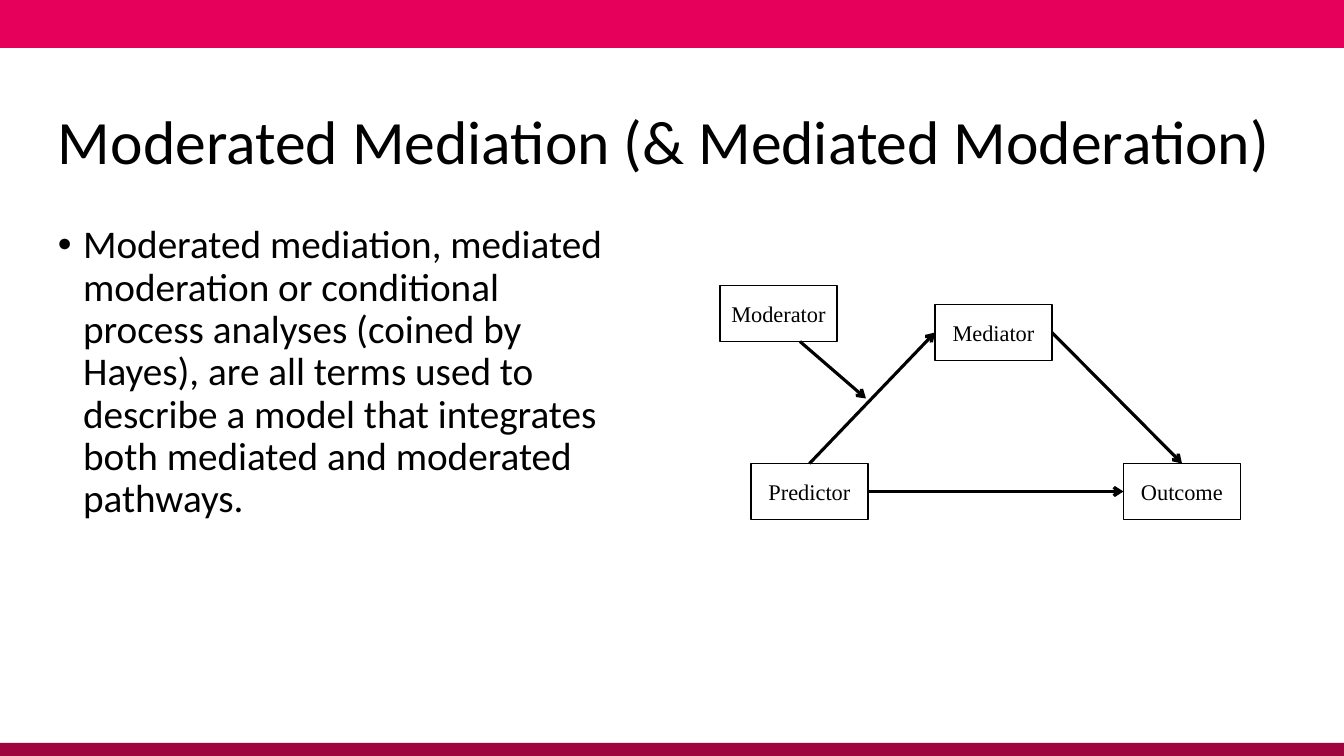
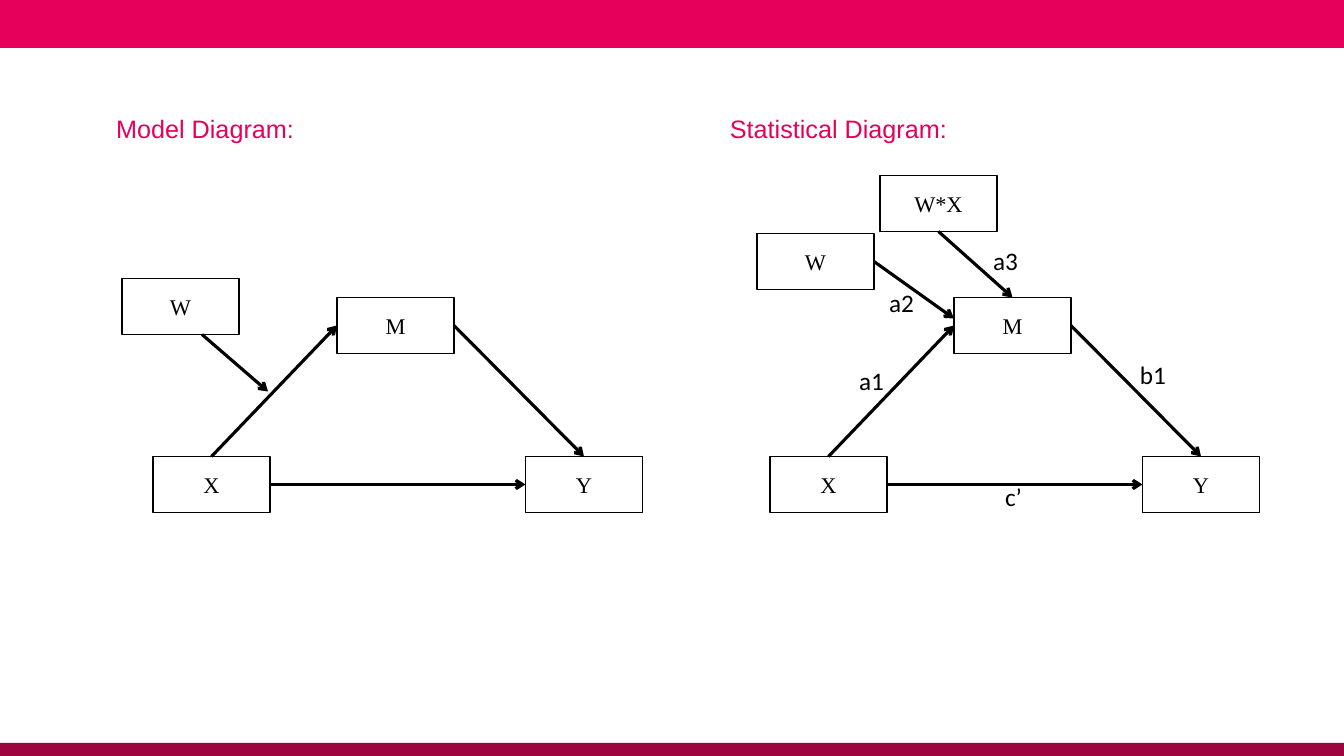
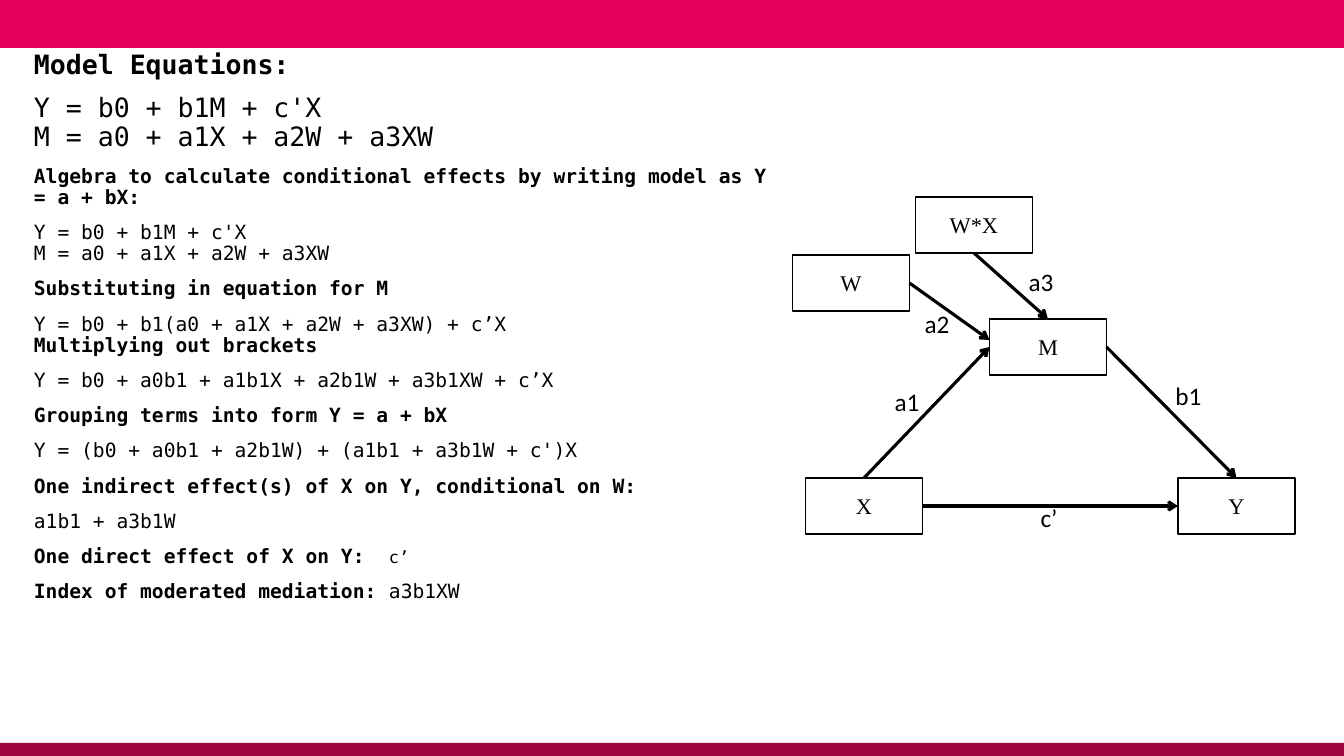
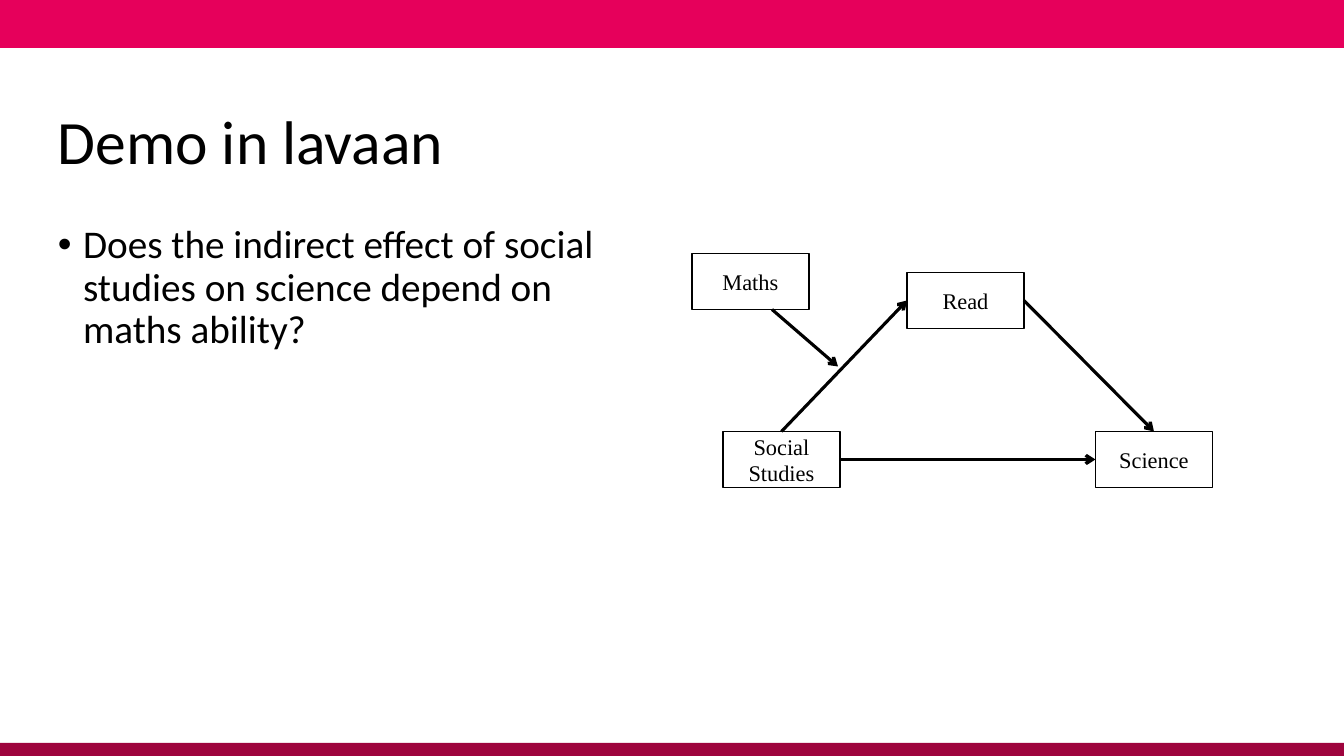
"""Builds four slides on moderated mediation with path diagrams."""
from pptx import Presentation, util as u
from pptx.dml.color import RGBColor
from pptx.enum import shapes, text
from pptx.oxml.ns import qn
from lxml import etree

PX = 914400 / 100.8
WIDTH, HEIGHT = 1344, 756
PINK = RGBColor(0xE6, 0x00, 0x5B)
DARK_PINK = RGBColor(0x9E, 0x04, 0x3D)
BLACK = RGBColor(0, 0, 0)
SANS, SERIF, MONO, LABEL = "Calibri", "Times New Roman", "DejaVu Sans Mono", "Arial"
BOX_W, BOX_H = 117, 56
TOP, LEFT, BOTTOM, RIGHT = range(4)
MIDDLE = text.MSO_ANCHOR.MIDDLE
PATH_LABELS = [("b1", 396, -67), ("c’", 252, 55), ("a1", 114, -61),
               ("a2", 144, -139), ("a3", 248, -181)]
EQUATIONS = "Y = b0 + b1M + c'X\nM = a0 + a1X + a2W + a3XW"
DERIVATION = [
    [("Model Equations:", 19, True)],
    [(EQUATIONS, 19, False)],
    [("Algebra to calculate conditional effects by writing model as Y = a + bX:", 14, True)],
    [(EQUATIONS, 14, False)],
    [("Substituting in equation for M", 14, True)],
    [("Y = b0 + b1(a0 + a1X + a2W + a3XW) + c’X\n", 14, False),
     ("Multiplying out brackets", 14, True)],
    [("Y = b0 + a0b1 + a1b1X + a2b1W + a3b1XW + c’X", 14, False)],
    [("Grouping terms into form Y = a + bX", 14, True)],
    [("Y = (b0 + a0b1 + a2b1W) + (a1b1 + a3b1W + c')X", 14, False)],
    [("One indirect effect(s) of X on Y, conditional on W:", 14, True)],
    [("a1b1 + a3b1W", 14, False)],
    [("One direct effect of X on Y:  ", 14, True), ("c’", 12, False)],
    [("Index of moderated mediation: ", 14, True), ("a3b1XW", 14, False)],
]


def px(n):
    """Turns pixels into EMU."""
    return u.Emu(round(n * PX))


def write(p, words, size=18, font=SANS, color=BLACK, bold=False):
    """Adds formatted text to a paragraph, breaking lines at newlines."""
    for i, line in enumerate(words.split("\n")):
        if i:
            p.add_line_break()
        if line:
            r = p.add_run()
            r.text = line
            r.font.size = u.Pt(size)
            r.font.name = font
            r.font.color.rgb = color
            r.font.bold = bold


def frame(s, x, y, w, h, anchor=text.MSO_ANCHOR.TOP, inset=True):
    """Adds a wrapping text box and returns its text frame."""
    tf = s.shapes.add_textbox(px(x), px(y), px(w), px(h)).text_frame
    tf.word_wrap = True
    tf.vertical_anchor = anchor
    if not inset:
        tf.margin_left = tf.margin_right = tf.margin_top = tf.margin_bottom = 0
    return tf


def rect(s, x, y, w, h, fill=None):
    """Adds a filled band, or an outlined box when no fill is given."""
    sp = s.shapes.add_shape(shapes.MSO_SHAPE.RECTANGLE, px(x), px(y), px(w), px(h))
    sp.shadow.inherit = False
    if fill is None:
        sp.fill.background()
        sp.line.color.rgb = BLACK
        sp.line.width = u.Pt(1)
    else:
        sp.fill.solid()
        sp.fill.fore_color.rgb = fill
        sp.line.fill.background()
    return sp


def new_slide(prs):
    """Adds a blank slide with the top and bottom bands."""
    s = prs.slides.add_slide(prs.slide_layouts[6])
    rect(s, 0, 0, WIDTH, 48, PINK)
    rect(s, 0, 743, WIDTH, 13, DARK_PINK)
    return s


def title(s, words):
    """Adds the slide title."""
    p = frame(s, 48, 89, 1246, 111, MIDDLE).paragraphs[0]
    p.line_spacing = 0.9
    write(p, words, size=44)


def bullet(s, words, w):
    """Adds the bulleted body text."""
    p = frame(s, 48, 220, w, 409).paragraphs[0]
    p.line_spacing = 0.9
    p.space_before = u.Pt(10)
    pPr = p._p.get_or_add_pPr()
    pPr.set("marL", str(u.Inches(0.25)))
    pPr.set("indent", str(-u.Inches(0.25)))
    etree.SubElement(pPr, qn("a:buFont")).set("typeface", "Arial")
    etree.SubElement(pPr, qn("a:buChar")).set("char", "•")
    write(p, words, size=28)


def right_label(s, words, right, bottom, w=80, h=40, **fmt):
    """Adds a label whose text ends at the given right and bottom edges."""
    tf = frame(s, right - w, bottom - h, w, h, text.MSO_ANCHOR.BOTTOM, inset=False)
    p = tf.paragraphs[0]
    p.alignment = text.PP_ALIGN.RIGHT
    write(p, words, **fmt)


def node(s, words, x, y):
    """Adds a variable box."""
    sp = rect(s, x, y, BOX_W, BOX_H)
    tf = sp.text_frame
    tf.word_wrap = True
    tf.vertical_anchor = MIDDLE
    p = tf.paragraphs[0]
    p.alignment = text.PP_ALIGN.CENTER
    write(p, words, size=16, font=SERIF)
    return sp


def arrow(s, x1=0, y1=0, x2=0, y2=0):
    """Adds a straight arrow between two points."""
    c = s.shapes.add_connector(shapes.MSO_CONNECTOR.STRAIGHT, px(x1), px(y1), px(x2), px(y2))
    c.line.color.rgb = BLACK
    c.line.width = u.Pt(2.25)
    etree.SubElement(c.line._get_or_add_ln(), qn("a:tailEnd")).set("type", "arrow")
    etree.SubElement(c._element.spPr, qn("a:effectLst"))
    return c


def link(s, start, start_side, end, end_side):
    """Joins two boxes with an arrow."""
    c = arrow(s)
    c.begin_connect(start, start_side)
    c.end_connect(end, end_side)


def mediation(s, x, y, predictor, mediator, outcome):
    """Draws the mediation triangle from the predictor's corner and returns the mediator."""
    pred = node(s, predictor, x, y)
    out = node(s, outcome, x + 372.5, y)
    med = node(s, mediator, x + 184, y - 159)
    link(s, pred, RIGHT, out, LEFT)
    link(s, pred, TOP, med, LEFT)
    link(s, med, RIGHT, out, TOP)
    return med


def model_diagram(s, x, y, predictor="X", mediator="M", outcome="Y", moderator="W"):
    """Draws mediation with a moderator pointing at its first path."""
    mediation(s, x, y, predictor, mediator, outcome)
    node(s, moderator, x - 31, y - 178)
    arrow(s, x + 49, y - 122, x + 115, y - 65)


def statistical_diagram(s, x, y):
    """Draws mediation with moderator and interaction terms and path labels."""
    med = mediation(s, x, y, "X", "M", "Y")
    node(s, "W", x - 13, y - 223)
    arrow(s, x - 13 + BOX_W, y - 195, x + 184, y - 138)
    link(s, node(s, "W*X", x + 110, y - 281), BOTTOM, med, TOP)
    for words, dx, dy in PATH_LABELS:
        right_label(s, words, x + dx, y + dy)


def derivation(s):
    """Writes the model equations and their algebra."""
    tf = frame(s, 24, 47, 762, 612)
    for i, runs in enumerate(DERIVATION):
        p = tf.add_paragraph() if i else tf.paragraphs[0]
        p.line_spacing = 0.9
        p.space_before = u.Pt(10)
        for words, size, bold in runs:
            write(p, words, size=size, font=MONO, bold=bold)


def main():
    """Builds and saves the deck."""
    prs = Presentation()
    prs.slide_width, prs.slide_height = px(WIDTH), px(HEIGHT)

    s = new_slide(prs)
    title(s, "Moderated Mediation (& Mediated Moderation)")
    bullet(s, "Moderated mediation, mediated moderation or conditional process analyses "
              "(coined by Hayes), are all terms used to describe a model that integrates "
              "both mediated and moderated pathways.", 575)
    model_diagram(s, 751, 463.5, "Predictor", "Mediator", "Outcome", "Moderator")

    s = new_slide(prs)
    model_diagram(s, 153, 456.5)
    statistical_diagram(s, 770, 456.5)
    for words, right in (("Model Diagram:", 294), ("Statistical Diagram:", 947)):
        right_label(s, words, right, 144, w=228, h=24, font=LABEL, color=PINK)

    s = new_slide(prs)
    statistical_diagram(s, 805.5, 478)
    derivation(s)

    s = new_slide(prs)
    title(s, "Demo in lavaan")
    bullet(s, "Does the indirect effect of social studies on science depend on maths ability?", 585)
    model_diagram(s, 723, 431.5, "Social Studies", "Read", "Science", "Maths")

    prs.save("out.pptx")


main()
